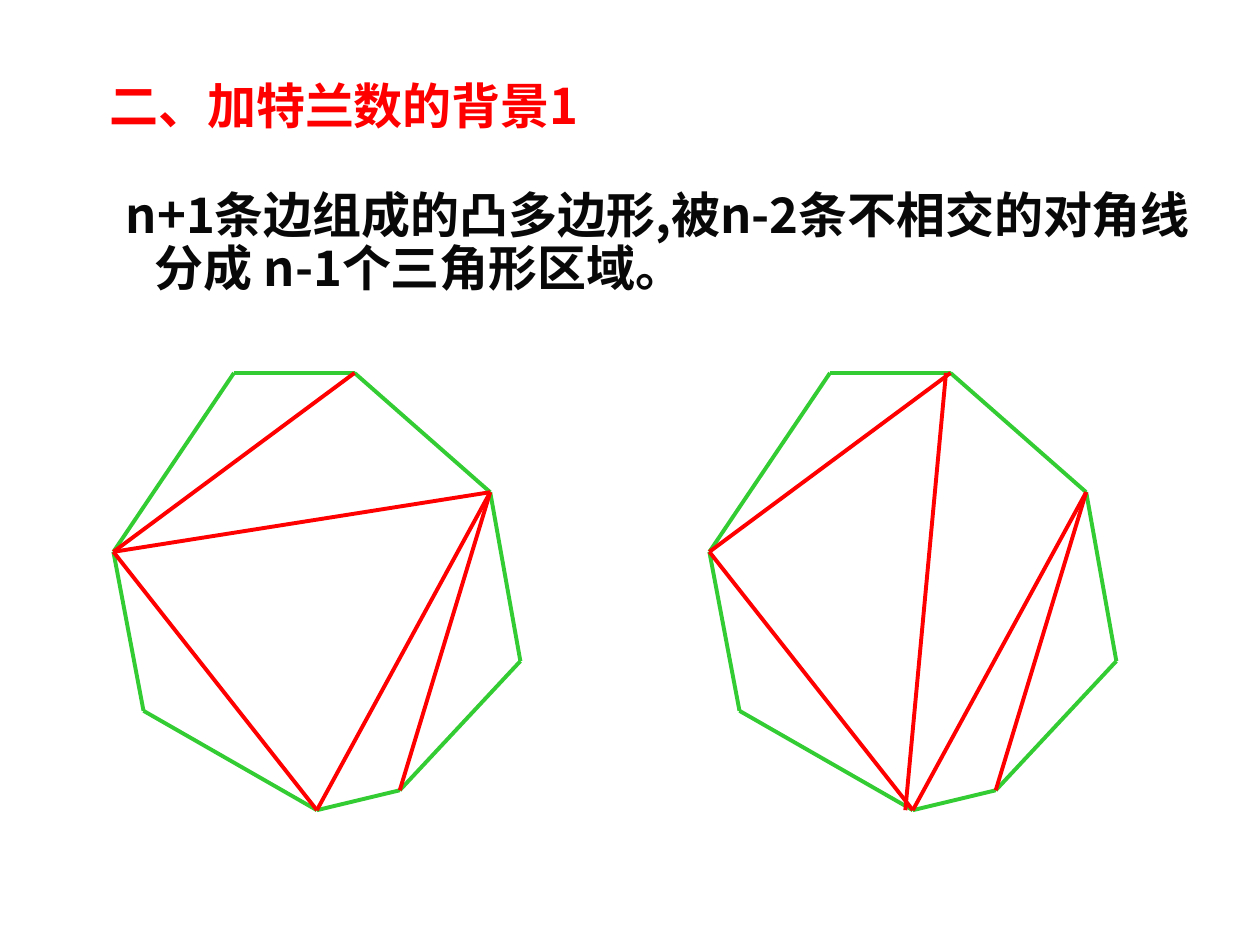
import pptx
import pptx.util
import pptx.dml.color
import pptx.enum.shapes
import pptx.oxml.ns
import lxml.etree

Inches, Pt = pptx.util.Inches, pptx.util.Pt
WIDTH, HEIGHT = 10, 7.5
FONT = "Noto Sans CJK SC"
COLORS = {"title": "FF0000", "statement": "080808", "edge": "33CC33", "diagonal": "FF0000"}

# Polygon corners in order, as (column, row) of a grid over its box
COLUMNS, ROWS = 13.5, 22
CORNERS = {
    "top left": (4, 0), "top right": (8, 0), "upper right": (12.5, 6),
    "right": (13.5, 14.5), "lower right": (9.5, 21), "bottom": (6.75, 22),
    "lower left": (1, 17), "left": (0, 9),
}
SHARED_DIAGONALS = [("top right", "left"), ("bottom", "left"),
                    ("upper right", "bottom"), ("upper right", "lower right")]


def rgb(role):
    return pptx.dml.color.RGBColor.from_string(COLORS[role])


def add_text(slide, box, text, role, first_indent):
    """Hanging paragraph in a box; first_indent is relative to the margin."""
    frame = slide.shapes.add_textbox(*map(Inches, box)).text_frame
    frame.word_wrap = True
    paragraph = frame.paragraphs[0]
    paragraph.text = text
    paragraph.line_spacing = 0.9
    paragraph.space_before = Pt(7)
    font = paragraph.font
    font.name, font.size, font.bold = FONT, Pt(28), True
    font.color.rgb = rgb(role)
    # East Asian typeface and hanging indent
    properties = paragraph._p.get_or_add_pPr()
    properties.set("marL", str(Inches(0.38)))
    properties.set("indent", str(Inches(first_indent)))
    latin = properties.find(".//" + pptx.oxml.ns.qn("a:latin"))
    east_asian = lxml.etree.Element(pptx.oxml.ns.qn("a:ea"), typeface=FONT)
    latin.addnext(east_asian)


def add_polygon(slide, box, diagonals):
    """Octagon with its diagonals, grouped, on a grid over the box."""
    left, top, width, height = box
    group = slide.shapes.add_group_shape()

    def add_line(start, end, role):
        points = [Inches(value) for column, row in (start, end)
                  for value in (left + width * column / COLUMNS, top + height * row / ROWS)]
        line = group.shapes.add_connector(pptx.enum.shapes.MSO_CONNECTOR.STRAIGHT, *points)
        line.line.color.rgb = rgb(role)
        line.line.width = Pt(2.24)
        lxml.etree.SubElement(line._element.spPr, pptx.oxml.ns.qn("a:effectLst"))

    corners = list(CORNERS.values())
    for start, end in zip(corners, corners[1:] + corners[:1]):
        add_line(start, end, "edge")
    for start, end in diagonals:
        add_line(start, end, "diagonal")


def build_slide(presentation):
    slide = presentation.slides.add_slide(presentation.slide_layouts[6])

    # Heading and statement
    add_text(slide, (0.51, 0.6, 6.46, 0.63), "二、加特兰数的背景1", "title", -0.12)
    add_text(slide, (0.75, 1.47, 8.82, 1.1),
             "n+1条边组成的凸多边形,被n-2条不相交的对角线分成 n-1个三角形区域。",
             "statement", -0.23)

    # Two triangulations, which differ in one diagonal
    fan = (CORNERS["upper right"], CORNERS["left"])
    steep = ((7.85, 0), (6.5, 22))
    shared = [(CORNERS[start], CORNERS[end]) for start, end in SHARED_DIAGONALS]
    for left, own_diagonal in ((0.9, fan), (5.63, steep)):
        add_polygon(slide, (left, 2.96, 3.23, 3.47), shared + [own_diagonal])


presentation = pptx.Presentation()
presentation.slide_width, presentation.slide_height = Inches(WIDTH), Inches(HEIGHT)
build_slide(presentation)
presentation.save("out.pptx")
